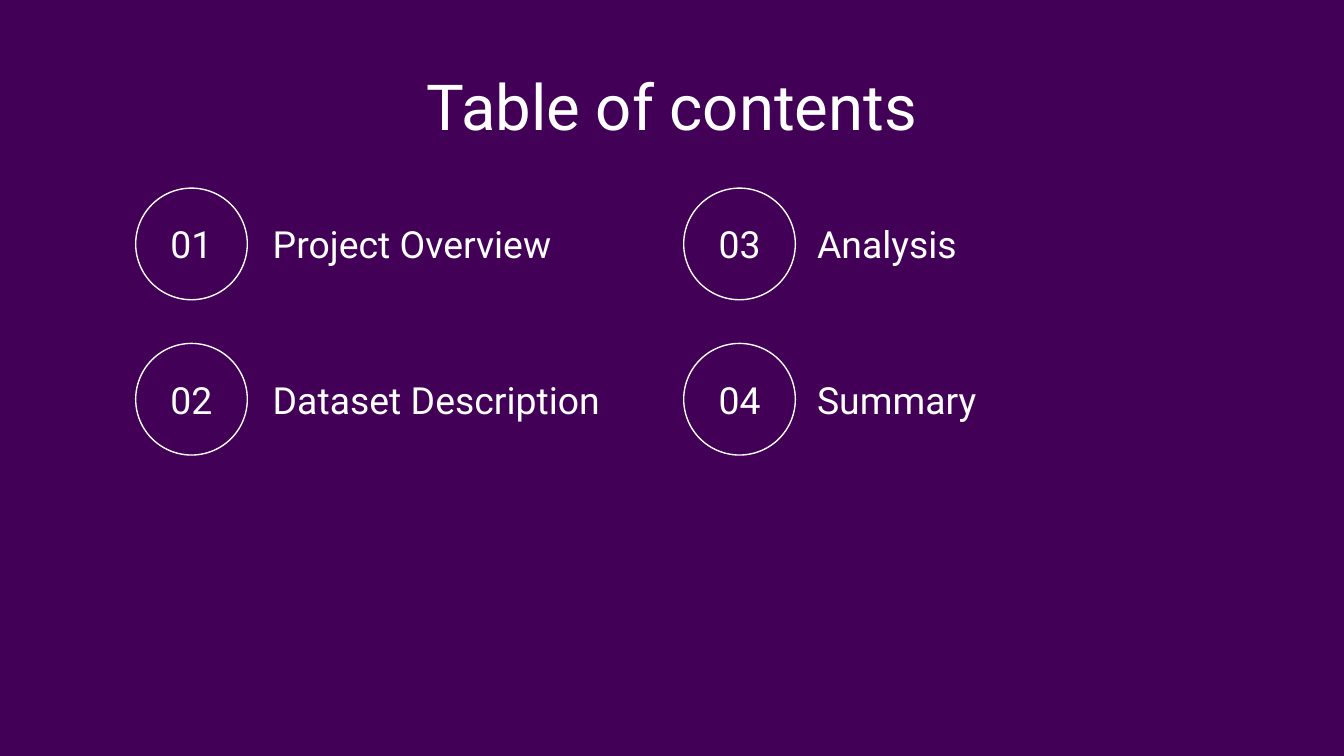
"""Build a table of contents slide with numbered circles."""
from pptx import Presentation
from pptx.dml.color import RGBColor
from pptx.enum.shapes import MSO_SHAPE
from pptx.enum.text import MSO_ANCHOR, MSO_AUTO_SIZE, PP_ALIGN
from pptx.util import Pt

OVAL = MSO_SHAPE.OVAL
TOP, MIDDLE = MSO_ANCHOR.TOP, MSO_ANCHOR.MIDDLE
LEFT, CENTER = PP_ALIGN.LEFT, PP_ALIGN.CENTER
NO_FIT = MSO_AUTO_SIZE.NONE

CIRCLE = 59.8
NUMBER_H = 28.8
LABEL_W = 217.4
ROWS = (100.8, 184)
COLUMNS = ((72.7, 139), (366.3, 430.6))
ENTRIES = ("Project Overview", "Dataset Description", "Analysis", "Summary")


def rgb(value):
    return RGBColor.from_string(value)


class Deck:
    font = "Roboto"
    ink = "FFFFFF"
    ground = "430057"
    inset = 7.2

    def __init__(self, prs):
        self.s = prs.slides.add_slide(prs.slide_layouts[5])
        fill = self.s.background.fill
        fill.solid()
        fill.fore_color.rgb = rgb(self.ground)

    def set_text(self, sp, text, size, align, anchor):
        tf = sp.text_frame
        tf.text = text
        tf.word_wrap = True
        tf.auto_size = NO_FIT
        tf.vertical_anchor = anchor
        tf.margin_left = tf.margin_right = Pt(self.inset)
        tf.margin_top = tf.margin_bottom = Pt(self.inset)
        p = tf.paragraphs[0]
        p.alignment = align
        r = p.runs[0]
        r.font.name = self.font
        r.font.size = Pt(size)
        r.font.color.rgb = rgb(self.ink)

    def title(self, text, x, y, w, h):
        sp = self.s.shapes.title
        sp.left, sp.top, sp.width, sp.height = Pt(x), Pt(y), Pt(w), Pt(h)
        self.set_text(sp, text, 34, CENTER, TOP)

    def circle(self, x, y, d):
        sp = self.s.shapes.add_shape(OVAL, Pt(x), Pt(y), Pt(d), Pt(d))
        sp.shadow.inherit = False
        sp.fill.background()
        sp.line.color.rgb = rgb(self.ink)
        sp.line.width = Pt(0.75)

    def text(self, text, x, y, w, h, align=LEFT):
        sp = self.s.shapes.add_textbox(Pt(x), Pt(y), Pt(w), Pt(h))
        self.set_text(sp, text, 20, align, MIDDLE)


def main():
    prs = Presentation()
    prs.slide_width, prs.slide_height = Pt(720), Pt(405)
    deck = Deck(prs)
    deck.title("Table of contents", 56.7, 28.8, 606.6, 43.2)
    for i, entry in enumerate(ENTRIES):
        column, row = divmod(i, len(ROWS))
        x, label_x = COLUMNS[column]
        y = ROWS[row]
        number_y = y + (CIRCLE - NUMBER_H) / 2
        deck.circle(x, y, CIRCLE)
        deck.text(entry, label_x, y, LABEL_W, CIRCLE)
        deck.text(f"{i + 1:02}", x, number_y, CIRCLE, NUMBER_H, CENTER)
    prs.save("out.pptx")


if __name__ == "__main__":
    main()
